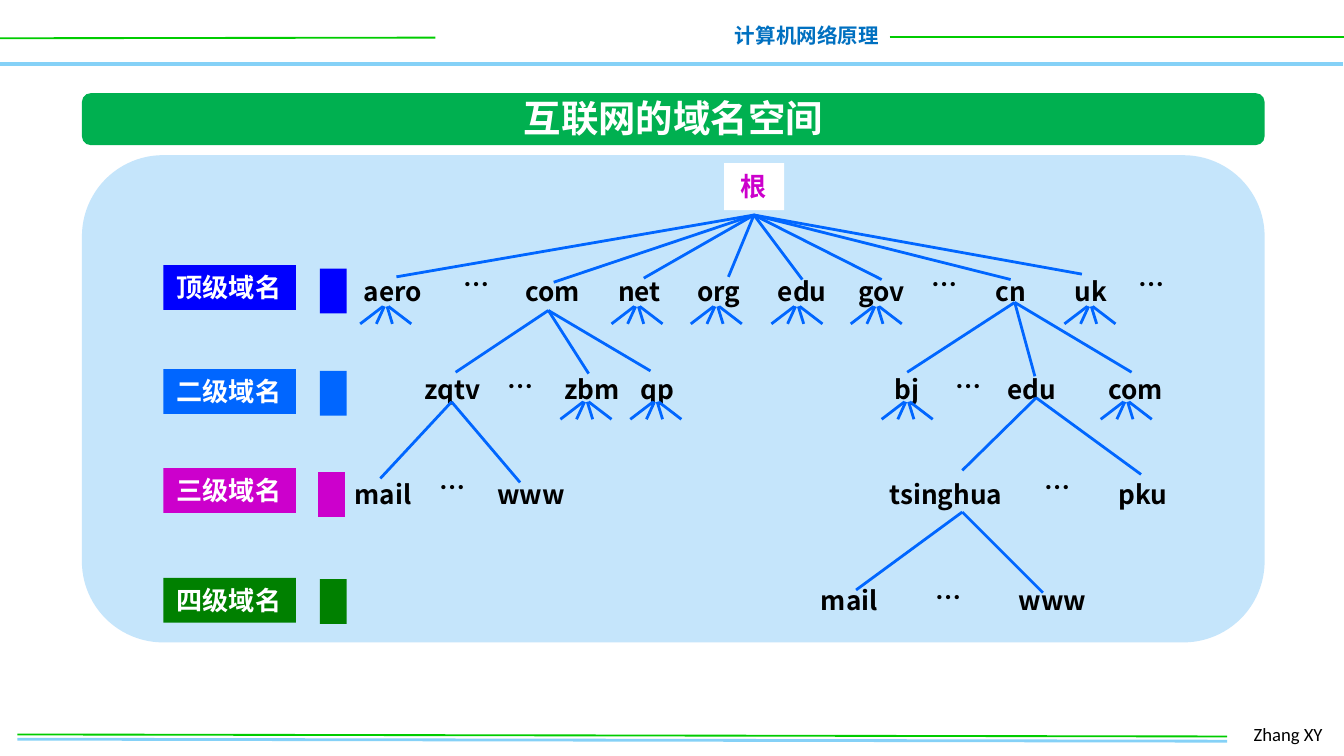
from pptx import Presentation
from pptx.dml.color import RGBColor
from pptx.enum.shapes import MSO_CONNECTOR, MSO_SHAPE
from pptx.enum.text import MSO_ANCHOR, MSO_AUTO_SIZE, PP_ALIGN
from pptx.oxml.ns import qn
from pptx.util import Inches, Pt
from lxml.etree import SubElement

WHITE = RGBColor(0xFF, 0xFF, 0xFF)
BLACK = RGBColor(0x00, 0x00, 0x00)
SKY = RGBColor(0x85, 0xD1, 0xF7)
LIME = RGBColor(0x00, 0xCC, 0x00)
HEADER_BLUE = RGBColor(0x00, 0x70, 0xC0)
TITLE_GREEN = RGBColor(0x00, 0xB0, 0x50)
PANEL = RGBColor(0xC5, 0xE5, 0xFB)
BLUE = RGBColor(0x00, 0x00, 0xFF)
BRANCH = RGBColor(0x00, 0x66, 0xFF)
MAGENTA = RGBColor(0xCC, 0x00, 0xCC)
GREEN = RGBColor(0x00, 0x80, 0x00)
CJK = "Noto Sans CJK SC"

prs = Presentation()
prs.slide_width = Inches(10)
prs.slide_height = prs.slide_width * 9 // 16
s = prs.slides.add_slide(prs.slide_layouts[6])
U = prs.slide_width / 100  # grid step: one hundredth of the slide's width


def add_line(x1, y1, x2, y2, color=BRANCH, width=1.5):
    ends = [round(v * U) for v in (x1, y1, x2, y2)]
    c = s.shapes.add_connector(MSO_CONNECTOR.STRAIGHT, *ends)
    c.line.color.rgb, c.line.width = color, Pt(width)
    SubElement(c._element.spPr, qn("a:effectLst"))


def add_box(x, y, w, h, text="", fill=None, kind=MSO_SHAPE.RECTANGLE, align=PP_ALIGN.LEFT,
            size=14, color=BLACK, font=CJK, bold=True, grow=True):
    """Add a filled shape, or a text box when there is no fill."""
    box = [round(v * U) for v in (x, y, w, h)]
    if fill is None:
        sp = s.shapes.add_textbox(*box)
    else:
        sp = s.shapes.add_shape(kind, *box)
        sp.shadow.inherit = False
        sp.fill.solid()
        sp.fill.fore_color.rgb = fill
        sp.line.fill.background()
    if text:
        tf = sp.text_frame
        frame = {"word_wrap": False,
                 "auto_size": MSO_AUTO_SIZE.SHAPE_TO_FIT_TEXT if grow else MSO_AUTO_SIZE.NONE,
                 "vertical_anchor": MSO_ANCHOR.TOP if grow else MSO_ANCHOR.MIDDLE}
        for name, value in frame.items():
            setattr(tf, name, value)
        p = tf.paragraphs[0]
        p.alignment = align
        r = p.add_run()
        r.text = text
        for name, value in {"size": Pt(size), "bold": bold, "name": font}.items():
            setattr(r.font, name, value)
        r.font.color.rgb = color
        SubElement(r._r.get_or_add_rPr(), qn("a:ea")).set("typeface", font)
    return sp


# Header and footer
for x1, y1, x2, y2, color, width in [
        (-0.1, 4.75, 99.9, 4.75, SKY, 2), (0, 2.85, 32.4, 2.8, LIME, 1),
        (66.2, 2.73, 100.1, 2.73, LIME, 1), (1.3, 55, 91.3, 55.15, SKY, 1.5),
        (1.3, 54.65, 91.3, 54.8, LIME, 1)]:
    add_line(x1, y1, x2, y2, color, width)
add_box(53.6, 1.2, 12.8, 2.9, "计算机网络原理", align=PP_ALIGN.RIGHT, size=11, color=HEADER_BLUE)
add_box(92.3, 53.3, 7.4, 2.7, "Zhang XY", size=10, font="Calibri", bold=False)

# Title, panel and root
bar = add_box(6.1, 6.93, 88, 3.87, fill=TITLE_GREEN, kind=MSO_SHAPE.ROUNDED_RECTANGLE)
bar.adjustments[0] = 0.17
add_box(37.5, 6.6, 25.2, 4.4, "互联网的域名空间", align=PP_ALIGN.CENTER, size=20, color=WHITE)
add_box(6.1, 11.55, 88, 36.25, fill=PANEL, kind=MSO_SHAPE.ROUNDED_RECTANGLE)
add_box(53.87, 12.13, 4.47, 3.5, "根", fill=WHITE, align=PP_ALIGN.CENTER, color=MAGENTA, grow=False)

# Level tags, each with a colour marker: text, colour, tag top, marker left, marker top
for text, color, y, marker_x, marker_y in [
        ("顶级域名", BLUE, 19.73, 23.8, 20), ("二级域名", BRANCH, 27.47, 23.8, 27.6),
        ("三级域名", MAGENTA, 34.84, 23.67, 35.13), ("四级域名", GREEN, 43, 23.8, 43.1)]:
    add_box(marker_x, marker_y, 2, 3.33, fill=color)
    add_box(12.15, y, 9.87, 3.33, text, fill=color, color=WHITE)

# Domain names: row top, ellipsis top, (name, left, width), ellipsis lefts
levels = [
    (20, 19.5, [("aero", 26.1, 6.4), ("com", 38.1, 6.3), ("net", 45, 5.2), ("org", 50.9, 5.4),
                ("edu", 56.9, 5.7), ("gov", 62.9, 5.7), ("cn", 73.1, 4.3), ("uk", 79, 4.5)],
     [33.5, 68.3, 83.7]),
    (27.3, 27.1, [("zqtv", 30.6, 6.5), ("zbm", 41, 6.3), ("qp", 46.7, 4.8), ("bj", 65.6, 3.9),
                  ("edu", 74, 5.7), ("com", 81.5, 6.3)],
     [36.8, 70.1]),
    (35.13, 34.6, [("mail", 25.4, 6.4), ("www", 36, 7.2), ("tsinghua", 65.2, 10.6),
                   ("pku", 82.25, 5.8)],
     [31.7, 76.7]),
    (43, 42.75, [("mail", 60.1, 6.4), ("www", 74.8, 7.2)], [68.6]),
]
for y, dots_y, names, dots in levels:
    for name, x, w in names:
        add_box(x, y, w, 3.4, name)
    for x in dots:
        add_box(x, dots_y, 3.9, 3.4, "…")

# Branches: parent point, child points
branches = [
    ((56.1, 16), [(29.5, 20.6), (41.2, 21), (47.9, 20.7), (54.2, 20.6),
                  (59.7, 20.8), (65.6, 20.8), (75.2, 20.8), (80.5, 20.4)]),
    ((40.8, 23.1), [(33.9, 27.7), (43.8, 27.8), (48.4, 27.6)]),
    ((75.5, 22.5), [(67.5, 27.7), (77, 28), (84.2, 27.7)]),
    ((33.6, 29.9), [(28.3, 35.6), (38.7, 35.9)]),
    ((77.1, 29.6), [(71.6, 35), (84.9, 35.3)]),
    ((71.6, 38.1), [(63.7, 43.9), (77.6, 44.1)]),
]
for parent, children in branches:
    for child in children:
        add_line(*parent, *child)

# Four-stroke fans below names whose subdomains are not drawn
for y, centers in [(22.8, [28.7, 47.4, 53.3, 59.3, 65.2, 81.1]),
                   (29.9, [43.6, 48.8, 67.5, 83.8])]:
    for x in centers:
        for start, end in [(0.2, 1.9), (0.1, 0.5), (-0.2, -1.9), (-0.1, -0.7)]:
            add_line(x + start, y, x + end, y + 1.3)

prs.save("out.pptx")
